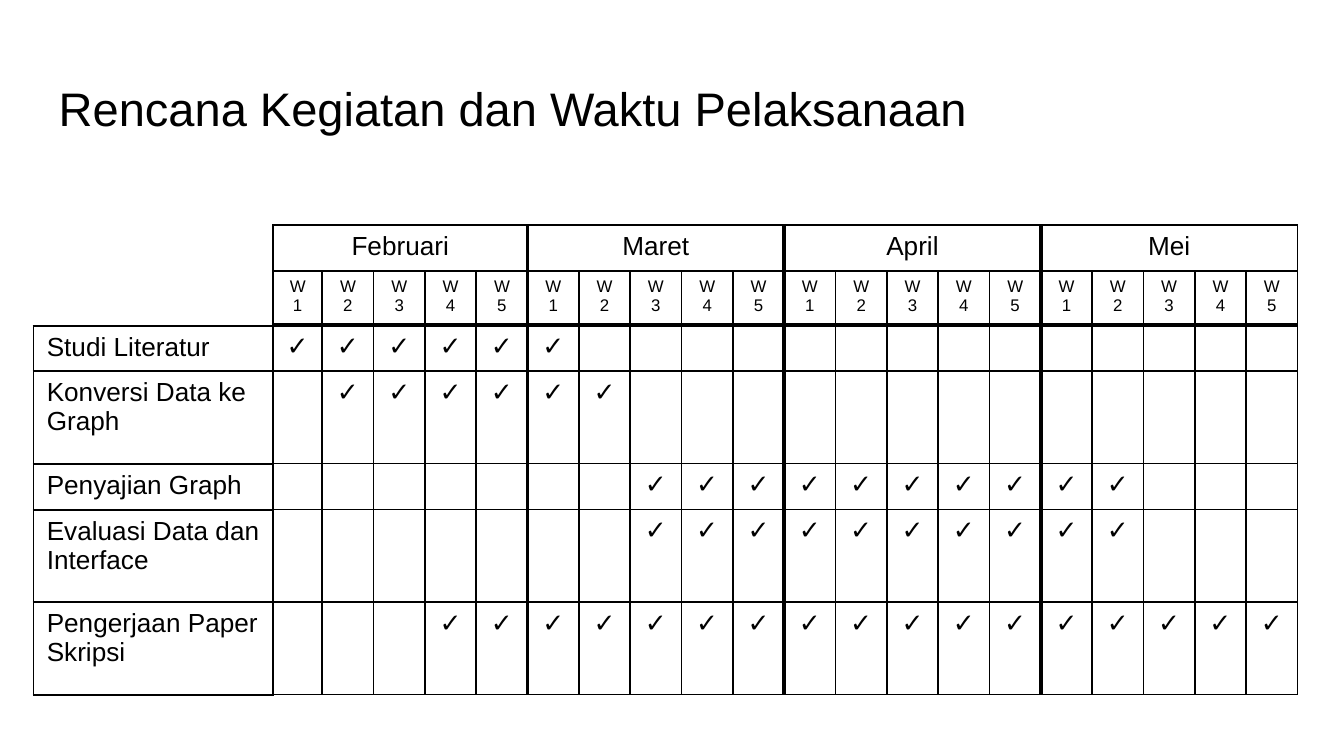
import pptx
import pptx.dml.color
import pptx.enum.text
import pptx.oxml.ns
import pptx.util
from lxml import etree
from pptx.util import Cm, Pt

TITLE = "Rencana Kegiatan dan Waktu Pelaksanaan"
MONTHS = ["Februari", "Maret", "April", "Mei"]
WEEKS = ["W1", "W2", "W3", "W4", "W5"]
# activity, first and last week (counted from 0), label height in cm, schedule height in cm
ACTIVITIES = [
    ("Studi Literatur", 0, 5, 0.83, 0.87),
    ("Konversi Data ke Graph", 1, 6, 1.76, 1.75),
    ("Penyajian Graph", 7, 16, 0.87, 0.87),
    ("Evaluasi Data dan Interface", 7, 16, 1.74, 1.75),
    ("Pengerjaan Paper Skripsi", 3, 19, 1.76, 1.75),
]
COLORS = {"ink": "000000"}
FONT = "Arial"
THIN, THICK = 1, 2.25
HEADER_HEIGHTS = [0.87, 0.87]
COLUMN_WIDTHS = [0.93] + [0.97] * (len(MONTHS) * len(WEEKS) - 1)
CENTER = pptx.enum.text.PP_ALIGN.CENTER
LEFT = pptx.enum.text.PP_ALIGN.LEFT


def style_paragraph(para, size, align=LEFT):
    para.alignment = align
    para.font.size = Pt(size)
    para.font.name = FONT
    para.font.color.rgb = pptx.dml.color.RGBColor.from_string(COLORS["ink"])


def set_borders(cell, left=THIN, right=THIN, top=THIN, bottom=THIN):
    qn = pptx.oxml.ns.qn
    properties = cell._tc.get_or_add_tcPr()
    for side, width in zip("LRTB", (left, right, top, bottom)):
        line = etree.SubElement(properties, qn(f"a:ln{side}"), w=str(Pt(width)))
        fill = etree.SubElement(line, qn("a:solidFill"))
        etree.SubElement(fill, qn("a:srgbClr"), val=COLORS["ink"])


def fill_cell(cell, text, size=14, align=LEFT, **borders):
    set_borders(cell, **borders)
    cell.fill.background()
    para = cell.text_frame.paragraphs[0]
    style_paragraph(para, size, align)
    if text:
        para.add_run().text = text
    else:
        # An empty cell keeps its row low only with an explicit end size
        etree.SubElement(para._p, pptx.oxml.ns.qn("a:endParaRPr"), sz=str(size * 100))


def add_plain_table(page, left, top, widths, heights):
    frame = page.shapes.add_table(len(heights), len(widths), Cm(left), Cm(top),
                                  Cm(sum(widths)), Cm(sum(heights)))
    table = frame.table
    table.first_row = table.horz_banding = False
    for column, width in zip(table.columns, widths):
        column.width = Cm(width)
    for row, height in zip(table.rows, heights):
        row.height = Cm(height)
    return table


def edge_width(column):
    """Width of the vertical rule before a column: thick between months."""
    inside = 0 < column < len(COLUMN_WIDTHS)
    return THICK if inside and column % len(WEEKS) == 0 else THIN


def add_title(page):
    box = page.shapes.add_textbox(Cm(0.86), Cm(1.24), Cm(23.67), Cm(1.6))
    frame = box.text_frame
    frame.word_wrap = True
    frame.vertical_anchor = pptx.enum.text.MSO_ANCHOR.MIDDLE
    frame.margin_left = frame.margin_right = Cm(0.25)
    frame.margin_top = frame.margin_bottom = Cm(0.25)
    para = frame.paragraphs[0]
    para.text = TITLE
    style_paragraph(para, 25.2)


def add_schedule(page):
    heights = HEADER_HEIGHTS + [activity[4] for activity in ACTIVITIES]
    table = add_plain_table(page, 5.16, 4.25, COLUMN_WIDTHS, heights)
    span = len(WEEKS)
    for index, month in enumerate(MONTHS):
        first, after = index * span, (index + 1) * span
        for column in range(first, after):
            fill_cell(table.cell(0, column), month if column == first else "", align=CENTER,
                      left=edge_width(first), right=edge_width(after))
        table.cell(0, first).merge(table.cell(0, after - 1))

    for column in range(len(COLUMN_WIDTHS)):
        sides = {"left": edge_width(column), "right": edge_width(column + 1)}
        fill_cell(table.cell(1, column), WEEKS[column % span], 9, CENTER,
                  bottom=THICK, **sides)
        for row, (_, start, end, _, _) in enumerate(ACTIVITIES, 2):
            fill_cell(table.cell(row, column), "✓" if start <= column <= end else "",
                      align=CENTER, top=THICK if row == 2 else THIN, **sides)


def add_labels(page):
    heights = [activity[3] for activity in ACTIVITIES]
    table = add_plain_table(page, 0.63, 6.16, [4.53], heights)
    for row, activity in enumerate(ACTIVITIES):
        fill_cell(table.cell(row, 0), activity[0])


def main():
    deck = pptx.Presentation()
    deck.slide_width, deck.slide_height = Cm(25.4), Cm(14.29)
    page = deck.slides.add_slide(deck.slide_layouts[6])
    add_title(page)
    add_schedule(page)
    add_labels(page)
    deck.save("out.pptx")


if __name__ == "__main__":
    main()
